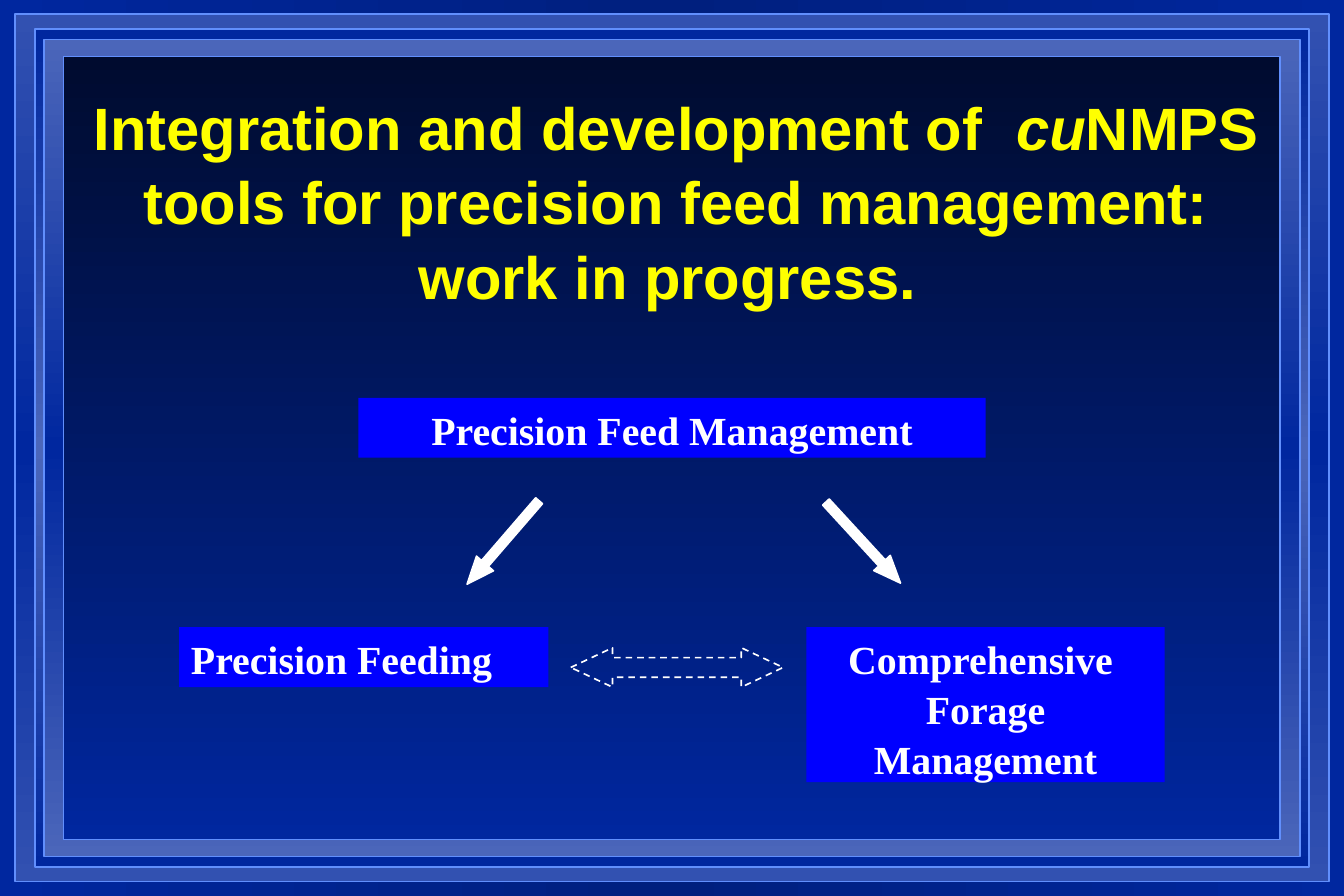
from copy import deepcopy
from dataclasses import dataclass

from pptx import Presentation
from pptx.dml.color import RGBColor
from pptx.enum.dml import MSO_LINE
from pptx.enum.shapes import MSO_SHAPE
from pptx.enum.text import MSO_ANCHOR, MSO_AUTO_SIZE, PP_ALIGN
from pptx.util import Inches, Pt

WIDTH, HEIGHT = 11.25, 7.5
COLS, ROWS = 15, 10


@dataclass(frozen=True)
class Theme:
    navy: str = "00279F"
    deep: str = "001F7E"
    night: str = "000B2F"
    steel: str = "3251B1"
    haze: str = "4B66BA"
    edge: str = "618FFD"
    box: str = "0000FF"
    white: str = "FFFFFF"
    yellow: str = "FFFF00"
    title_font: str = "Arial"
    box_font: str = "Times New Roman"
    title_size: int = 36
    box_size: int = 24
    leading: float = 1.04


THEME = Theme()


def rgb(value):
    return RGBColor.from_string(value)


def grid(col, row, cols, rows):
    dx, dy = WIDTH / COLS, HEIGHT / ROWS
    return Inches(col * dx), Inches(row * dy), Inches(cols * dx), Inches(rows * dy)


def set_gradient(fill, colors, angle):
    fill.gradient()
    fill.gradient_angle = angle
    first = fill.gradient_stops[0]._gs
    for _ in colors[2:]:
        first.addnext(deepcopy(first))
    for i, (stop, color) in enumerate(zip(fill.gradient_stops, colors)):
        stop.position = i / (len(colors) - 1)
        stop.color.rgb = rgb(color)


def add_shape(slide, kind, place, fill=None, line=None, adjust=()):
    sp = slide.shapes.add_shape(kind, *grid(*place))
    sp.shadow.inherit = False
    for i, value in enumerate(adjust):
        sp.adjustments[i] = value
    if fill:
        sp.fill.solid()
        sp.fill.fore_color.rgb = rgb(fill)
    else:
        sp.fill.background()
    if line:
        sp.line.color.rgb = rgb(line)
        sp.line.width = Pt(1)
    else:
        sp.line.fill.background()
    return sp


def add_text(p, text, font, size, color, italic=False):
    r = p.add_run()
    r.text = text
    r.font.name = font
    r.font.size = Pt(size)
    r.font.bold = True
    r.font.italic = italic
    r.font.color.rgb = rgb(color)


def add_frame(slide, inset_x, inset_y, colors):
    place = (inset_x, inset_y, COLS - 2 * inset_x, ROWS - 2 * inset_y)
    sp = add_shape(slide, MSO_SHAPE.RECTANGLE, place, line=THEME.edge)
    set_gradient(sp.fill, colors, 270)


def set_title(slide, place, runs):
    sp = slide.shapes.title
    slide.shapes._spTree.append(sp._element)
    sp.left, sp.top, sp.width, sp.height = grid(*place)
    tf = sp.text_frame
    tf.word_wrap = True
    tf.auto_size = MSO_AUTO_SIZE.NONE
    tf.vertical_anchor = MSO_ANCHOR.MIDDLE
    p = tf.paragraphs[0]
    p.alignment = PP_ALIGN.CENTER
    p.line_spacing = THEME.leading
    for text, italic in runs:
        add_text(p, text, THEME.title_font, THEME.title_size, THEME.yellow, italic)


def add_box(slide, place, text, align=PP_ALIGN.CENTER):
    sp = add_shape(slide, MSO_SHAPE.RECTANGLE, place, fill=THEME.box)
    tf = sp.text_frame
    tf.word_wrap = True
    tf.vertical_anchor = MSO_ANCHOR.TOP
    p = tf.paragraphs[0]
    p.alignment = align
    p.line_spacing = THEME.leading
    add_text(p, text, THEME.box_font, THEME.box_size, THEME.white)


def add_down_arrow(slide, col, angle):
    sp = add_shape(slide, MSO_SHAPE.DOWN_ARROW, (col, 5.44, 0.25, 1.23),
                   fill=THEME.white, line=THEME.white, adjust=(0.4, 1.22))
    sp.rotation = angle


def add_exchange_arrow(slide, place):
    sp = add_shape(slide, MSO_SHAPE.LEFT_RIGHT_ARROW, place,
                   line=THEME.white, adjust=(0.5, 1.06))
    sp.line.dash_style = MSO_LINE.DASH


def main():
    prs = Presentation()
    prs.slide_width, prs.slide_height = Inches(WIDTH), Inches(HEIGHT)
    s = prs.slides.add_slide(prs.slide_layouts.get_by_name("Title Only"))
    t = THEME
    set_gradient(s.background.fill, (t.navy, t.deep, t.navy), 0)

    add_frame(s, 0.17, 0.16, (t.steel, t.navy, t.steel))
    add_frame(s, 0.39, 0.32, (t.navy, t.haze, t.navy))
    add_frame(s, 0.49, 0.44, (t.haze, t.navy, t.haze))
    add_frame(s, 0.71, 0.63, (t.night, t.navy))

    set_title(s, (0.84, 1.56, 13.41, 1.33), (
        ("Integration and development of  ", False),
        ("cu", True),
        ("NMPS tools for precision feed management: work in progress. ", False),
    ))

    add_box(s, (4, 4.44, 7, 0.67), "Precision Feed Management")
    add_down_arrow(s, 5.49, 40.8)
    add_down_arrow(s, 9.51, 317.4)
    add_box(s, (2, 7, 4.12, 0.67), "Precision Feeding", PP_ALIGN.LEFT)
    add_box(s, (9, 7, 4, 1.73), "Comprehensive  Forage Management")
    add_exchange_arrow(s, (6.37, 7.23, 2.37, 0.44))

    prs.save("out.pptx")


if __name__ == "__main__":
    main()
